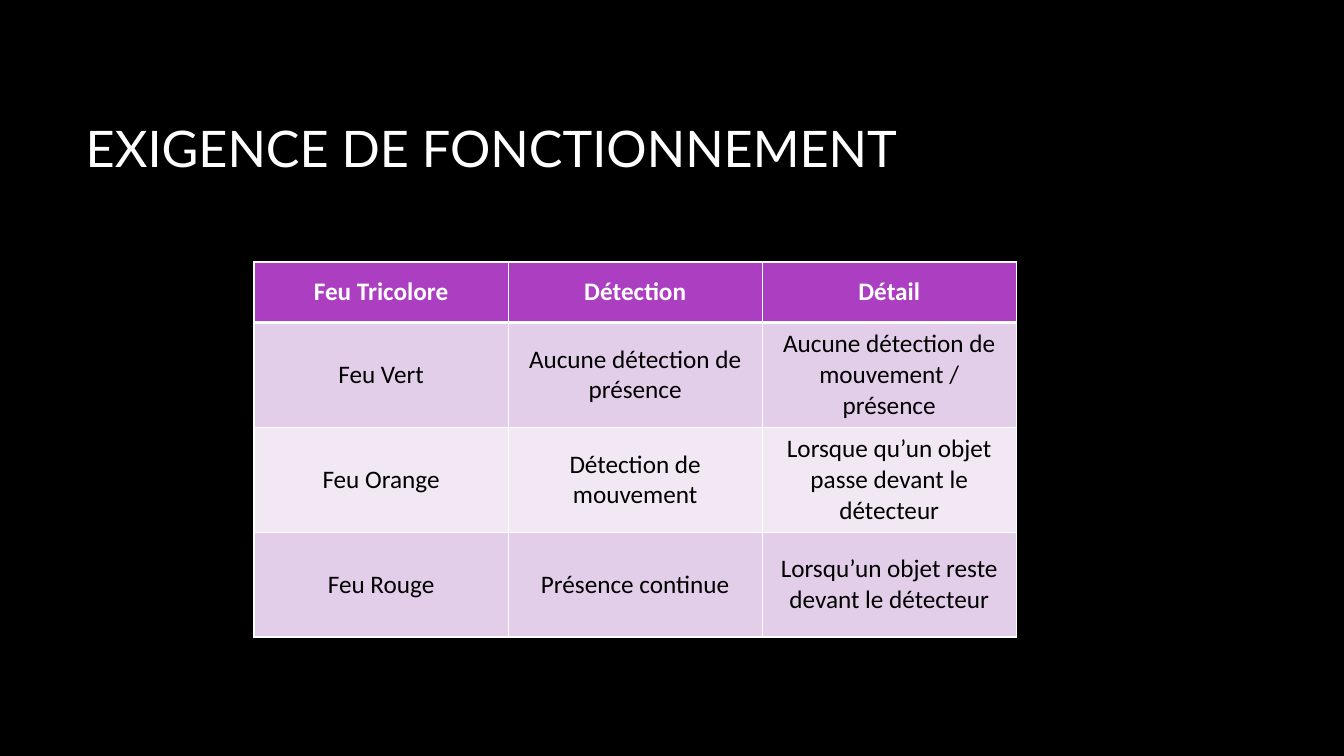
from lxml import etree
from pptx import Presentation
from pptx.dml.color import RGBColor
from pptx.enum.text import MSO_ANCHOR, PP_ALIGN
from pptx.oxml.ns import qn
from pptx.util import Inches, Pt

MIDDLE = MSO_ANCHOR.MIDDLE
LEFT = PP_ALIGN.LEFT
CENTER = PP_ALIGN.CENTER

WHITE = "FFFFFF"
BLACK = "000000"
PURPLE = "AC3EC1"
BANDS = ["F1E8F4", "E3CEE9"]

ROWS = [
    ["Feu Tricolore", "Détection", "Détail"],
    ["Feu Vert", "Aucune détection de présence", "Aucune détection de mouvement / présence"],
    ["Feu Orange", "Détection de mouvement", "Lorsque qu’un objet passe devant le détecteur"],
    ["Feu Rouge", "Présence continue", "Lorsqu’un objet reste devant le détecteur"],
]


def write(frame, text, font, size, color, align, bold=False):
    frame.text = text
    para = frame.paragraphs[0]
    para.alignment = align
    span = para.runs[0]
    span.font.name = font
    span.font.size = Pt(size)
    span.font.bold = bold
    span.font.color.rgb = RGBColor.from_string(color)


def add_border(cell, side, points):
    properties = cell._tc.get_or_add_tcPr()
    line = etree.SubElement(properties, qn(f"a:ln{side}"), w=str(Pt(points)))
    fill = etree.SubElement(line, qn("a:solidFill"))
    etree.SubElement(fill, qn("a:srgbClr"), val=WHITE)


deck = Presentation()
deck.slide_width = Inches(13.33)
deck.slide_height = Inches(7.5)
page = deck.slides.add_slide(deck.slide_layouts[5])
page.background.fill.solid()
page.background.fill.fore_color.rgb = RGBColor.from_string(BLACK)

title = page.shapes.title
title.left, title.top = Inches(0.75), Inches(0.67)
title.width, title.height = Inches(11.08), Inches(1.59)
title.text_frame.word_wrap = True
title.text_frame.vertical_anchor = MIDDLE
write(title.text_frame, "EXIGENCE DE FONCTIONNEMENT", "Lato", 36, WHITE, LEFT)

table = page.shapes.add_table(
    len(ROWS), len(ROWS[0]), Inches(2.52), Inches(2.6), Inches(7.55), Inches(3.71)
).table
for column in table.columns:
    column.width = Inches(2.52)

for row_index, texts in enumerate(ROWS):
    header = row_index == 0
    table.rows[row_index].height = Inches(0.6 if header else 1.04)
    for column_index, text in enumerate(texts):
        cell = table.cell(row_index, column_index)
        cell.vertical_anchor = MIDDLE
        write(cell.text_frame, text, "Calibri", 18, WHITE if header else BLACK, CENTER, header)
        add_border(cell, "L", 1)
        add_border(cell, "R", 1)
        add_border(cell, "T", 3 if row_index == 1 else 1)
        add_border(cell, "B", 3 if header else 1)
        cell.fill.solid()
        cell.fill.fore_color.rgb = RGBColor.from_string(PURPLE if header else BANDS[row_index % 2])

deck.save("out.pptx")
